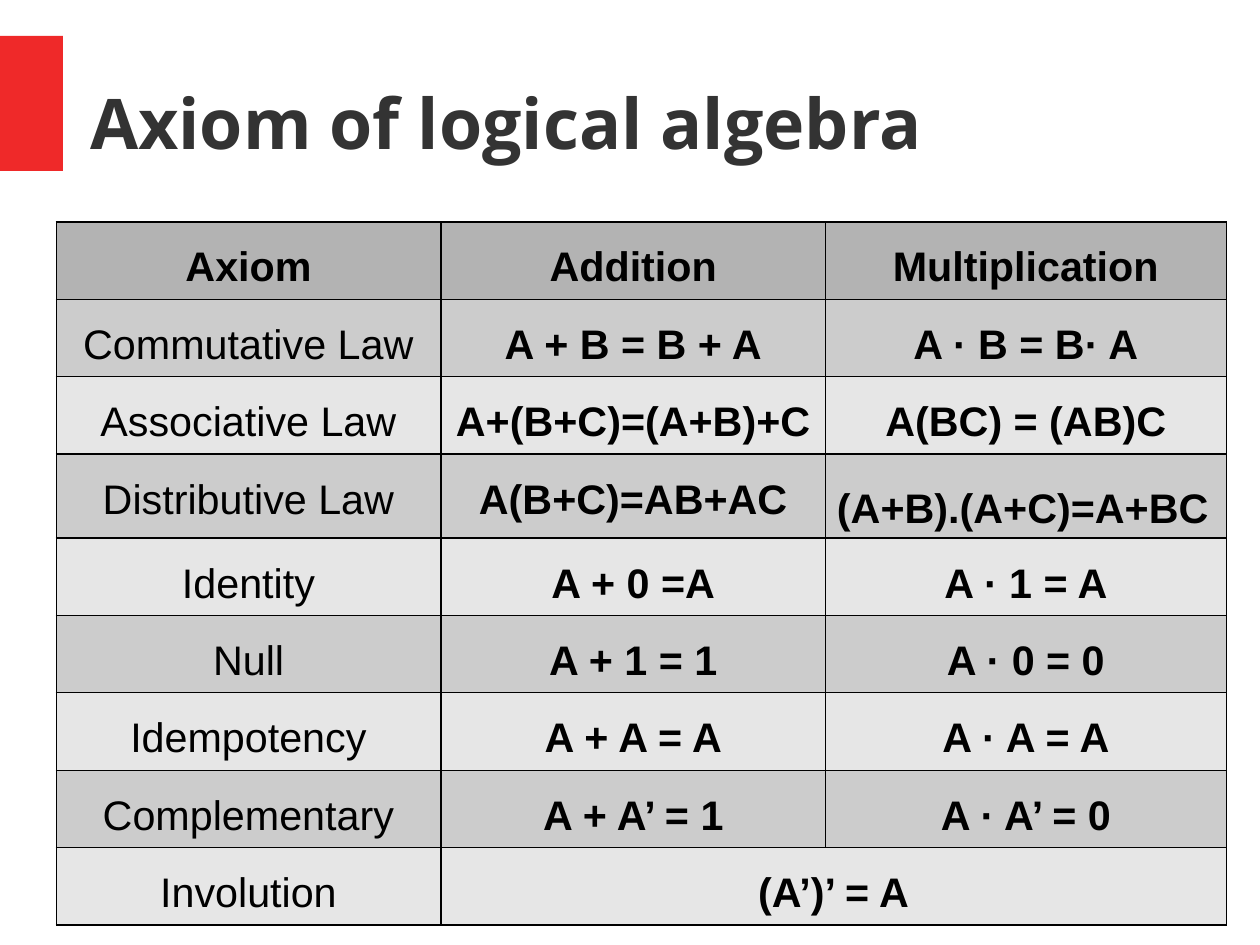
from lxml.etree import SubElement
from pptx import Presentation
from pptx.dml.color import RGBColor
from pptx.enum.shapes import MSO_SHAPE
from pptx.enum.text import MSO_ANCHOR, MSO_AUTO_SIZE, PP_ALIGN
from pptx.oxml.ns import qn
from pptx.util import Cm, Pt

TITLE = "Axiom of logical algebra"
ROWS = [
    ("Axiom", "Addition", "Multiplication"),
    ("Commutative Law", "A + B = B + A", "A · B = B· A"),
    ("Associative Law", "A+(B+C)=(A+B)+C", "A(BC) = (AB)C"),
    ("Distributive Law", "A(B+C)=AB+AC", "(A+B).(A+C)=A+BC"),
    ("Identity", "A + 0 =A", "A · 1 = A"),
    ("Null", "A + 1 = 1", "A · 0 = 0"),
    ("Idempotency", "A + A = A", "A · A = A"),
    ("Complementary", "A + A’ = 1", "A · A’ = 0"),
    ("Involution", "(A’)’ = A"),
]
WIDTHS = (8.55, 8.55, 8.9)
HEIGHT = 1.72
LOOSE = (3, 2)

RED = RGBColor(0xEF, 0x29, 0x29)
INK = RGBColor(0x33, 0x33, 0x33)
BLACK = RGBColor(0x00, 0x00, 0x00)
HEAD = RGBColor(0xB3, 0xB3, 0xB3)
BANDS = (RGBColor(0xE6, 0xE6, 0xE6), RGBColor(0xCC, 0xCC, 0xCC))


def style(para, font, size, color, bold):
    for run in para.runs:
        run.font.name = font
        run.font.size = Pt(size)
        run.font.color.rgb = color
        run.font.bold = bold


def add_title(slide):
    title = slide.shapes.title
    title.left, title.top = Cm(2), Cm(0.84)
    title.width, title.height = Cm(24.6), Cm(3.5)
    frame = title.text_frame
    frame.text = TITLE
    frame.auto_size = MSO_AUTO_SIZE.NONE
    frame.word_wrap = True
    frame.vertical_anchor = MSO_ANCHOR.MIDDLE
    frame.margin_left = frame.margin_right = 0
    frame.margin_top = frame.margin_bottom = 0
    para = frame.paragraphs[0]
    para.alignment = PP_ALIGN.LEFT
    para.line_spacing = 1.13
    style(para, "Open Sans", 44, INK, True)


def add_mark(slide):
    mark = slide.shapes.add_shape(
        MSO_SHAPE.RECTANGLE, 0, Cm(0.8), Cm(1.4), Cm(3))
    mark.shadow.inherit = False
    mark.fill.solid()
    mark.fill.fore_color.rgb = RED
    mark.line.fill.background()


def add_edges(cell):
    props = cell._tc.get_or_add_tcPr()
    for side in ("a:lnL", "a:lnR", "a:lnT", "a:lnB"):
        line = SubElement(props, qn(side), w=str(Pt(1)))
        fill = SubElement(line, qn("a:solidFill"))
        SubElement(fill, qn("a:srgbClr"), val=str(BLACK))


def fill_cell(cell, row, col):
    add_edges(cell)
    cell.fill.solid()
    cell.fill.fore_color.rgb = BANDS[row % 2] if row else HEAD
    cell.margin_left = cell.margin_right = Cm(0.25)
    cell.margin_top, cell.margin_bottom = Cm(0.71), Cm(0.13)
    if col >= len(ROWS[row]):
        return
    cell.text_frame.text = ROWS[row][col]
    para = cell.text_frame.paragraphs[0]
    if (row, col) != LOOSE:
        para.alignment = PP_ALIGN.CENTER
        para.line_spacing = 0.76
    style(para, "Arial", 26, BLACK, row == 0 or col > 0)


def add_laws(slide):
    count = len(ROWS)
    table = slide.shapes.add_table(
        count, len(WIDTHS), Cm(1.25), Cm(4.93),
        Cm(sum(WIDTHS)), Cm(HEIGHT * count)).table
    for col, width in enumerate(WIDTHS):
        table.columns[col].width = Cm(width)
    for row in range(count):
        table.rows[row].height = Cm(HEIGHT)
        for col in range(len(WIDTHS)):
            fill_cell(table.cell(row, col), row, col)
    table.cell(count - 1, 1).merge(table.cell(count - 1, 2))


def main():
    deck = Presentation()
    deck.slide_width, deck.slide_height = Cm(28), Cm(21)
    slide = deck.slides.add_slide(deck.slide_layouts[5])
    add_mark(slide)
    add_title(slide)
    add_laws(slide)
    deck.save("out.pptx")


if __name__ == "__main__":
    main()
